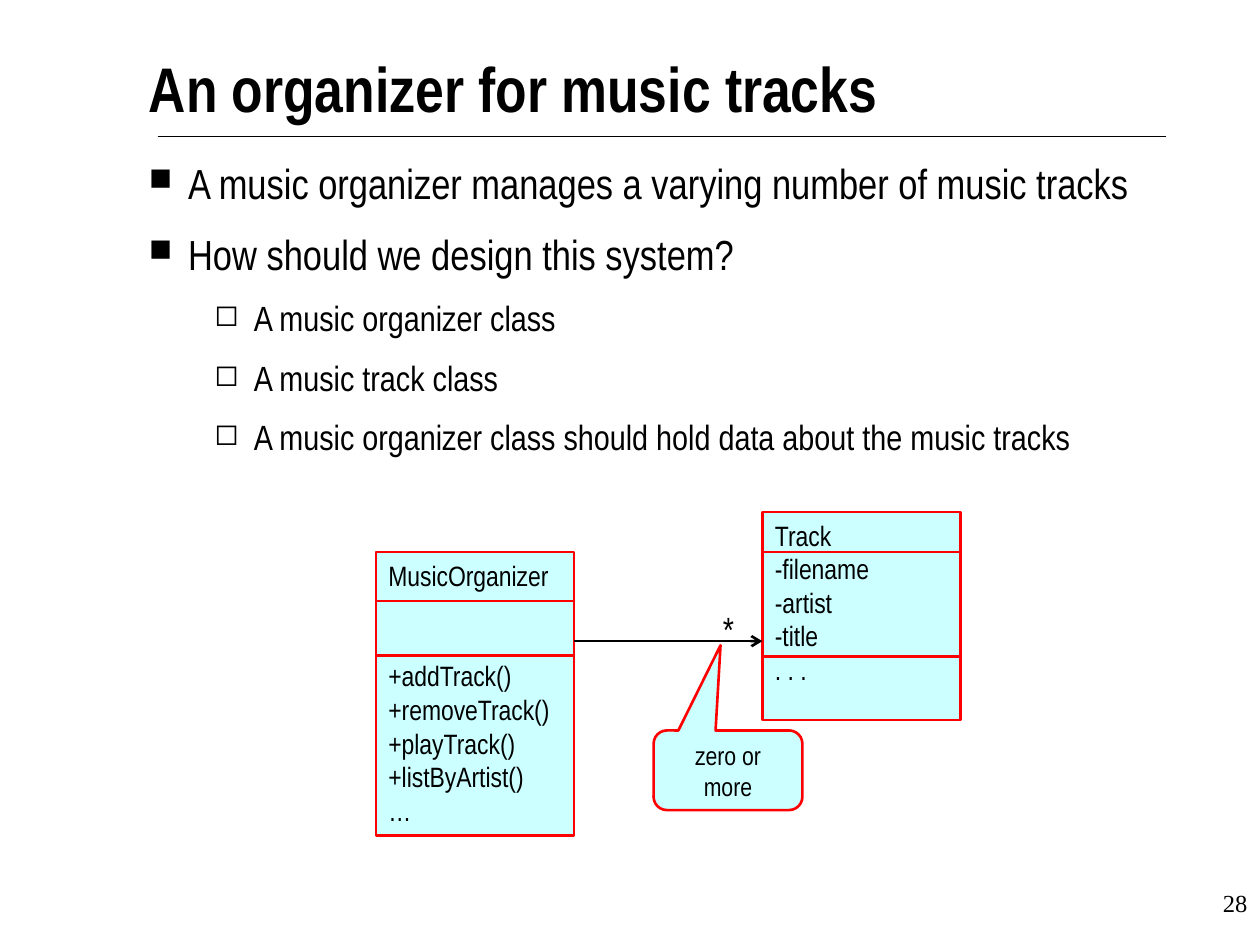
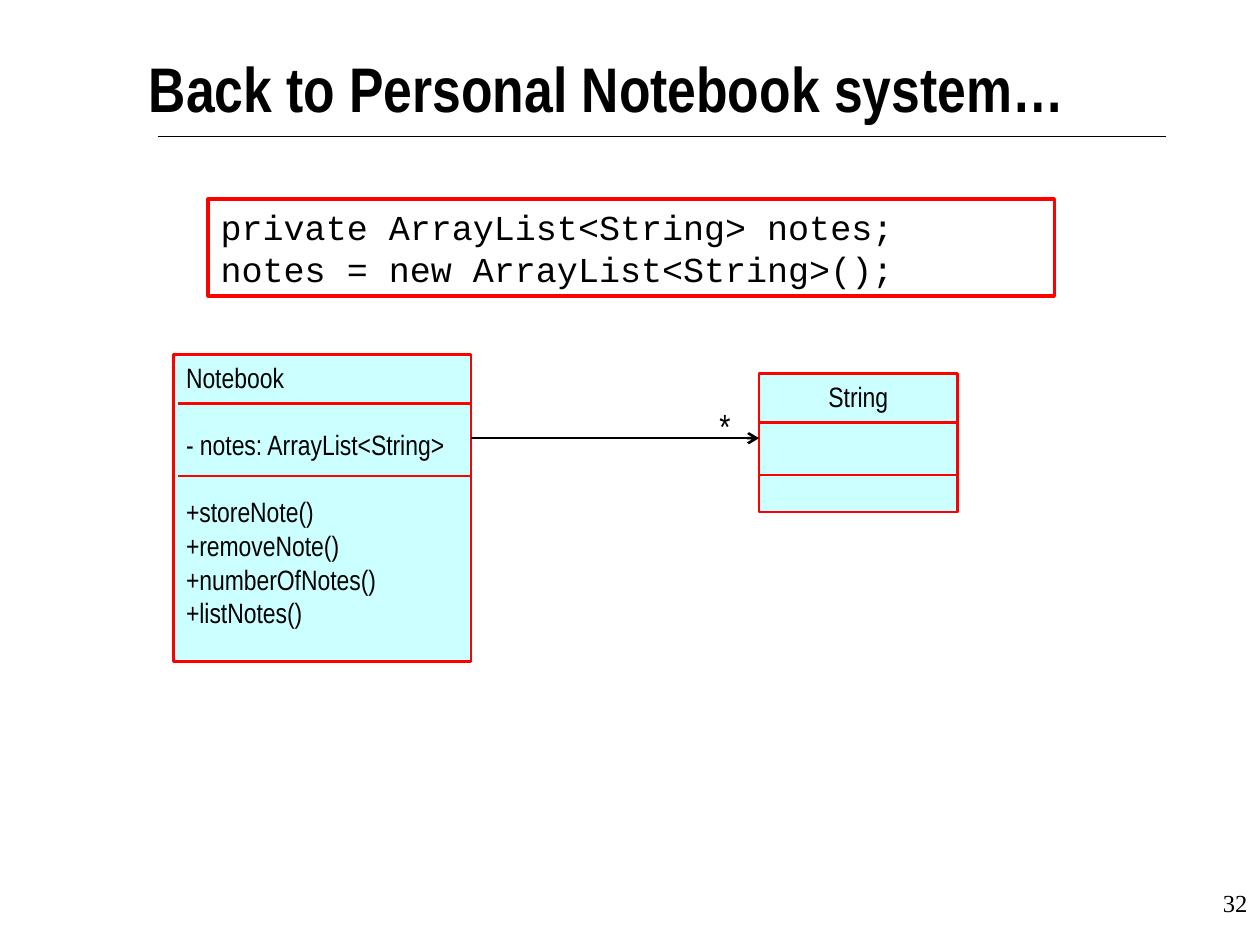
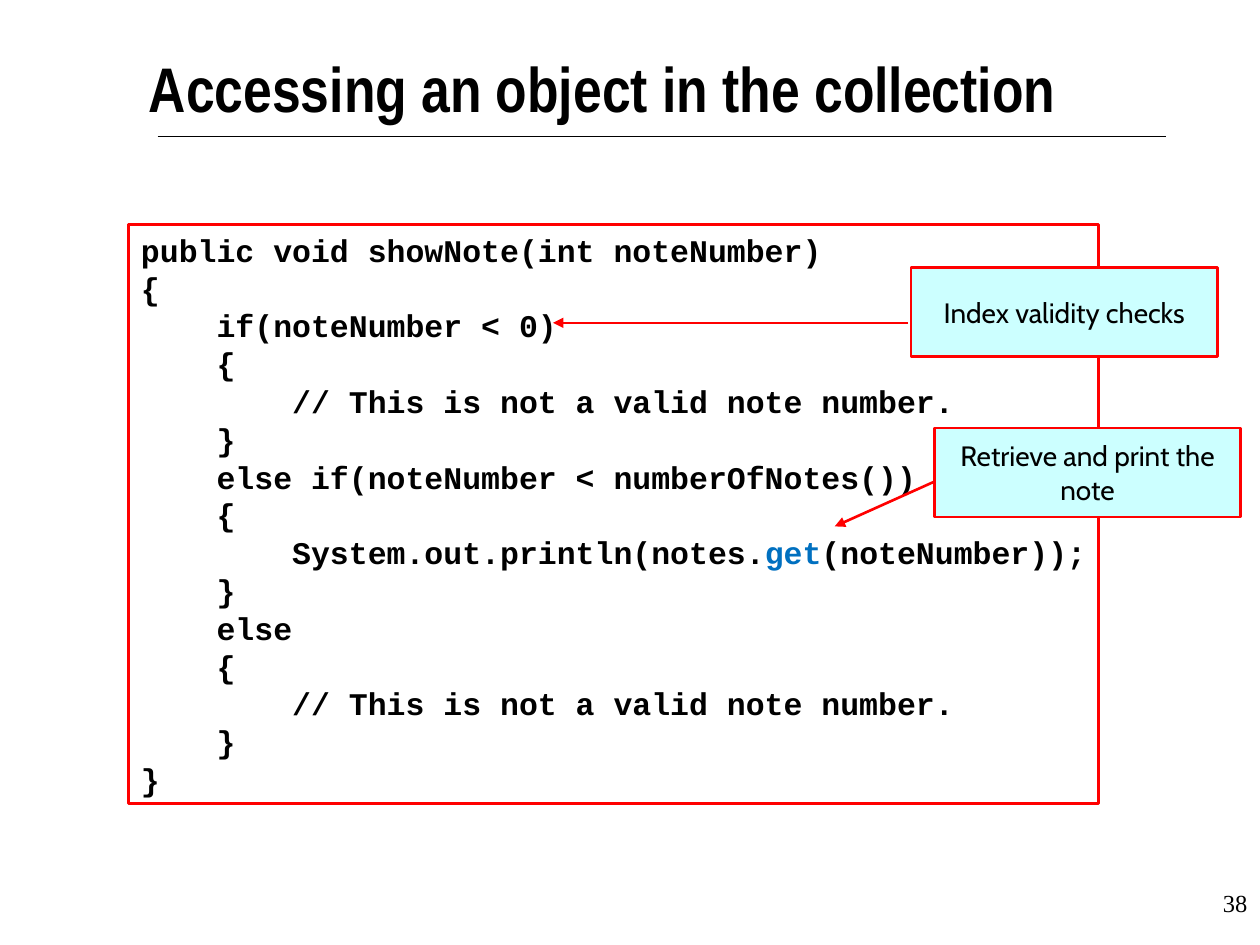
from lxml.etree import SubElement
from pptx import Presentation
from pptx.dml.color import RGBColor
from pptx.enum.shapes import MSO_CONNECTOR, MSO_SHAPE
from pptx.enum.text import MSO_ANCHOR, MSO_AUTO_SIZE, PP_ALIGN
from pptx.oxml.ns import qn
from pptx.util import Pt

# Shared look
BLACK, WHITE, RED, CYAN, BLUE = "000000", "FFFFFF", "FF0000", "CCFFFF", "0070C0"
NARROW, CODE, NUMBER, NOTE = "Arial Narrow", "Courier New", "Times New Roman", "Cabin"
CLASS_LINE = 19.2  # height of one line in a class box


def color(value):
    return RGBColor.from_string(value)


def add_span(para, text, size, font, ink=BLACK, bold=False):
    span = para.add_run()
    span.text = text
    span.font.size = Pt(size)
    span.font.name = font
    span.font.bold = bold
    span.font.color.rgb = color(ink)


def set_frame(box, inset=True, wrap=True, anchor=MSO_ANCHOR.TOP):
    frame = box.text_frame
    frame.auto_size = MSO_AUTO_SIZE.NONE
    frame.word_wrap = wrap
    frame.vertical_anchor = anchor
    frame.margin_left = frame.margin_right = Pt(7.2 if inset else 0)
    frame.margin_top = frame.margin_bottom = Pt(3.6 if inset else 0)
    return frame


def next_para(frame, index, align=PP_ALIGN.LEFT):
    para = frame.paragraphs[0] if index == 0 else frame.add_paragraph()
    para.alignment = align
    return para


def add_label(page, left, top, width, height, text, size, font, align, inset=True):
    box = page.shapes.add_textbox(Pt(left), Pt(top), Pt(width), Pt(height))
    add_span(next_para(set_frame(box, inset), 0, align), text, size, font)


def add_line(page, x1, y1, x2, y2, ink, weight=1.5, head=None):
    line = page.shapes.add_connector(MSO_CONNECTOR.STRAIGHT, Pt(x1), Pt(y1), Pt(x2), Pt(y2))
    line.line.color.rgb = color(ink)
    line.line.width = Pt(weight)
    if head:
        SubElement(line.line._get_or_add_ln(), qn("a:tailEnd"), type=head)
    SubElement(line._element.spPr, qn("a:effectLst"))


def add_panel(page, left, top, width, height, fill=CYAN, weight=1.5, kind=MSO_SHAPE.RECTANGLE):
    panel = page.shapes.add_shape(kind, Pt(left), Pt(top), Pt(width), Pt(height))
    panel.shadow.inherit = False
    panel.fill.solid()
    panel.fill.fore_color.rgb = color(fill)
    panel.line.color.rgb = color(RED)
    panel.line.width = Pt(weight)
    return panel


def add_page(deck, title, number):
    """Add a slide with its title, the rule below it and the page number."""
    page = deck.slides.add_slide(deck.slide_layouts[5])
    heading = page.shapes.title
    heading.left, heading.top, heading.width, heading.height = Pt(85), Pt(28), Pt(551), Pt(54)
    add_span(next_para(set_frame(heading, inset=False), 0), title, 36, NARROW, bold=True)
    add_line(page, 90, 78, 666, 78, BLACK, 0.75)
    add_label(page, 570, 504, 150, 36, number, 14, NUMBER, PP_ALIGN.RIGHT)
    return page


def add_bullets(page, left, top, width, height, items):
    """Each item is (level, text)."""
    styles = [(24, 12, 22.5, "■", 75), (20, 10, 60, "◻", 85)]
    box = page.shapes.add_textbox(Pt(left), Pt(top), Pt(width), Pt(height))
    frame = set_frame(box, inset=False)
    for index, (level, text) in enumerate(items):
        size, before, margin, mark, percent = styles[level]
        para = next_para(frame, index)
        para.level = level
        props = para._p.get_or_add_pPr()
        props.set("marL", str(Pt(margin)))
        props.set("indent", str(-Pt(22.5)))
        SubElement(SubElement(props, qn("a:buClr")), qn("a:srgbClr"), val=BLACK)
        SubElement(props, qn("a:buSzPct"), val=str(percent * 1000))
        SubElement(props, qn("a:buChar"), char=mark)
        if index:
            para.space_before = Pt(before)
        add_span(para, text, size, NARROW)


def add_class(page, left, top, width, height, rows, dividers, align=PP_ALIGN.LEFT, inset=0):
    """Draw a class box; each row is (lines skipped before it, text)."""
    frame = set_frame(add_panel(page, left, top, width, height), wrap=False)
    for index, (skipped, text) in enumerate(rows):
        para = next_para(frame, index, align)
        if skipped:
            para.space_before = Pt(skipped * CLASS_LINE)
        add_span(para, text, 16, NARROW)
    for y in dividers:
        add_line(page, left + inset, y, left + width, y, RED)


def add_association(page, x1, x2, y):
    """Arrow to the class at x2, with its multiplicity."""
    add_line(page, x1, y, x2, y, BLACK, head="arrow")
    add_label(page, x2 - 33.5, y - 23, 28, 32, "*", 20, NARROW, PP_ALIGN.CENTER)


def add_code(page, left, top, width, height, lines, size, bold=False, accent=None):
    panel = add_panel(page, left, top, width, height, WHITE, 2)
    frame = set_frame(panel, wrap=False)
    for index, line in enumerate(lines):
        para = next_para(frame, index)
        before, found, after = line.partition(accent) if accent else (line, "", "")
        for text, ink in ((before, BLACK), (found, BLUE), (after, BLACK)):
            if text:
                add_span(para, text, size, CODE, ink, bold)


def add_note(page, left, top, width, height, text, size=16, font=NOTE, kind=MSO_SHAPE.RECTANGLE):
    note = add_panel(page, left, top, width, height, kind=kind)
    frame = set_frame(note, anchor=MSO_ANCHOR.MIDDLE)
    add_span(next_para(frame, 0, PP_ALIGN.CENTER), text, size, font)
    return note


def organizer_page(deck):
    page = add_page(deck, "An organizer for music tracks", "28")
    add_bullets(page, 85, 90, 594, 214, [
        (0, "A music organizer manages a varying number of music tracks"),
        (0, "How should we design this system?"),
        (1, "A music organizer class"),
        (1, "A music track class"),
        (1, "A music organizer class should hold data about the music tracks"),
    ])
    add_class(page, 214.8, 315.4, 113.3, 162, [
        (0, "MusicOrganizer"), (2, "+addTrack()"), (0, "+removeTrack()"),
        (0, "+playTrack()"), (0, "+listByArtist()"), (0, "…"),
    ], [343.5, 374.5])
    add_class(page, 435.7, 292.5, 113.3, 119, [
        (0, "Track"), (0, "-filename"), (0, "-artist"), (0, "-title"), (0, ". . ."),
    ], [315.4, 375])
    add_association(page, 328.1, 435.7, 366.4)
    callout = add_note(page, 373.5, 417.4, 85, 45.5, "zero or more", 14.8, NARROW,
                       MSO_SHAPE.ROUNDED_RECTANGULAR_CALLOUT)
    callout.adjustments[0] = -0.05
    callout.adjustments[1] = -1.57


def notebook_page(deck):
    page = add_page(deck, "Back to Personal Notebook system…", "32")
    add_class(page, 99.2, 202.5, 170, 175.5, [
        (0, "Notebook"), (1, "- notes: ArrayList<String>"), (1, "+storeNote()"),
        (0, "+removeNote()"), (0, "+numberOfNotes()"), (0, "+listNotes()"),
    ], [230.6, 272], inset=2.5)
    add_class(page, 433.8, 213.3, 113.3, 79.3, [(0, "String")], [241.4, 271.5],
              PP_ALIGN.CENTER)
    add_association(page, 269.2, 433.8, 250.4)
    add_code(page, 119, 113.8, 483.5, 55.4, [
        "private ArrayList<String> notes;",
        "notes = new ArrayList<String>();",
    ], 20)


def access_page(deck):
    page = add_page(deck, "Accessing an object in the collection", "38")
    add_code(page, 73.5, 128.3, 554.3, 331, [
        "public void showNote(int noteNumber)",
        "{",
        "    if(noteNumber < 0)",
        "    {",
        "        // This is not a valid note number.",
        "    }",
        "    else if(noteNumber < numberOfNotes())",
        "    {",
        "        System.out.println(notes.get(noteNumber));",
        "    }",
        "    else",
        "    {",
        "        // This is not a valid note number.",
        "    }",
        "}",
    ], 18, bold=True, accent="get")
    add_note(page, 520.7, 153, 175, 50.8, "Index validity checks")
    add_line(page, 519, 184.5, 316, 184.5, RED, head="triangle")
    add_note(page, 534, 244.7, 175, 50.8, "Retrieve and print the note")
    add_line(page, 534, 275.2, 477, 300.8, RED, head="triangle")


def main():
    deck = Presentation()
    deck.slide_width, deck.slide_height = Pt(720), Pt(540)
    organizer_page(deck)
    notebook_page(deck)
    access_page(deck)
    deck.save("out.pptx")


if __name__ == "__main__":
    main()
